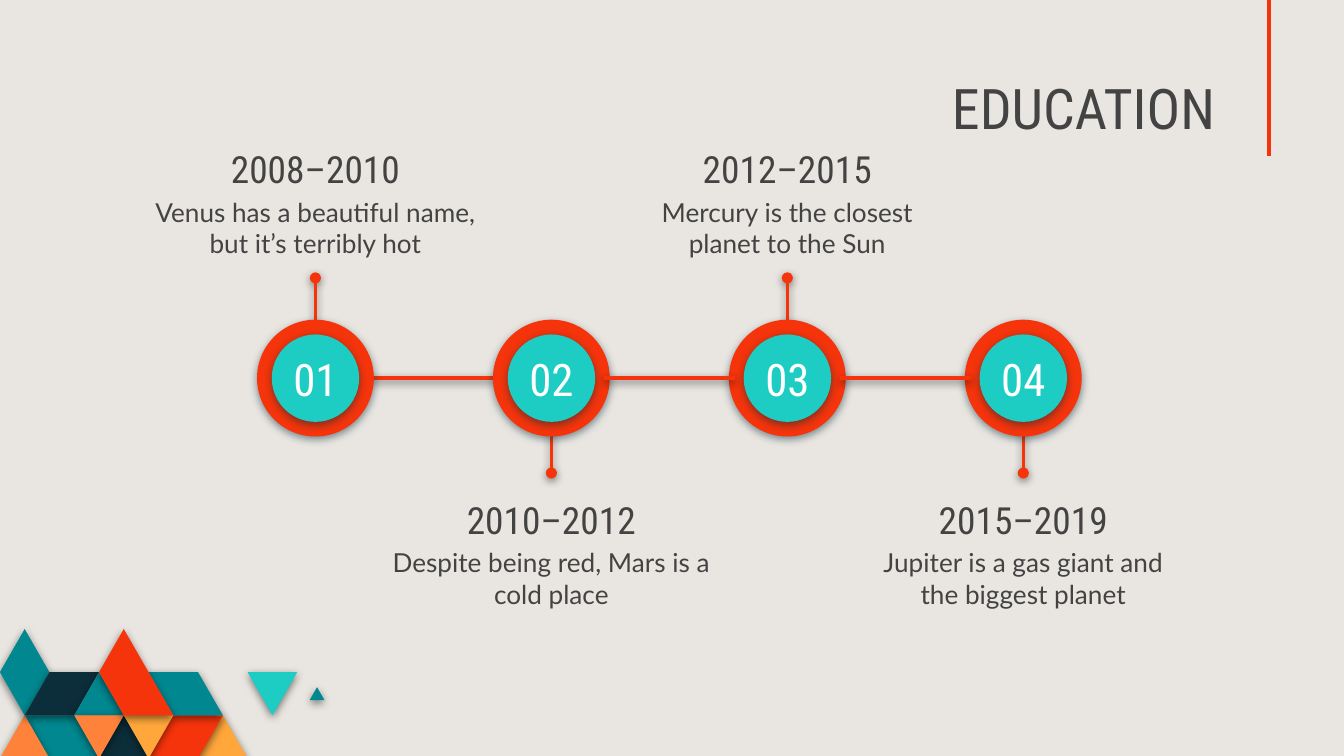
from pptx import Presentation
from pptx.dml.color import RGBColor
from pptx.enum.shapes import MSO_CONNECTOR, MSO_SHAPE
from pptx.enum.text import MSO_ANCHOR, PP_ALIGN
from pptx.oxml.ns import qn
from pptx.util import Pt
from lxml import etree

LINE, OVAL = MSO_CONNECTOR.STRAIGHT, MSO_SHAPE.OVAL
TOP, MID, BASE = MSO_ANCHOR.TOP, MSO_ANCHOR.MIDDLE, MSO_ANCHOR.BOTTOM
CENTER, RIGHT = PP_ALIGN.CENTER, PP_ALIGN.RIGHT
LEFT_SIDE, RIGHT_SIDE = 1, 3

COLORS = {
    "paper": "E9E6E1", "ink": "434343", "white": "FFFFFF", "black": "000000",
    "red": "F5340B", "aqua": "1DCDC3", "teal": "018790", "navy": "0C2E3A",
    "orange": "FF823B", "amber": "FFA73B",
}
FONTS = {
    "title": {"name": "Roboto Condensed", "size": Pt(30)},
    "number": {"name": "Roboto Condensed", "size": Pt(24)},
    "years": {"name": "Roboto Condensed", "size": Pt(20)},
    "body": {"name": "Lato", "size": Pt(14)},
}
STOPS = [
    ("2008–2010", "Venus has a beautiful name, but it’s terribly hot", 202),
    ("2010–2012", "Despite being red, Mars is a cold place", 188),
    ("2012–2015", "Mercury is the closest planet to the Sun", 188),
    ("2015–2019", "Jupiter is a gas giant and the biggest planet", 165),
]
TILES = [
    ("amber", [(10, 3), (9, 2), (8, 3)]),
    ("red", [(9, 2), (7, 2), (6, 3), (8, 3)]),
    ("teal", [(4, 3), (3, 2), (1, 2), (2, 3)]),
    ("orange", [(2, 3), (1, 2), (0, 3)]),
    ("navy", [(6, 3), (5, 2), (4, 3)]),
    ("teal", [(9, 2), (8, 1), (6, 1), (7, 2)]),
    ("teal", [(13.1, 1.65), (12.8, 1.35), (12.5, 1.65)]),
    ("aqua", [(12, 1), (10, 1), (11, 2)]),
    ("teal", [(2, 1), (1, 0), (0, 1), (1, 2)]),
    ("navy", [(4, 1), (2, 1), (1, 2), (3, 2)]),
    ("teal", [(5, 2), (4, 1), (3, 2)]),
    ("orange", [(5, 2), (3, 2), (4, 3)]),
    ("amber", [(7, 2), (5, 2), (6, 3)]),
    ("red", [(7, 2), (5, 0), (4, 1), (5, 2)]),
]


def rgb(name):
    """Return the named colour."""
    return RGBColor.from_string(COLORS[name])


def shade(shape, hue=None):
    """Replace the theme shadow with a soft one, or none."""
    props = shape._element.spPr
    for old in props.findall(qn("a:effectLst")):
        props.remove(old)
    list_el = etree.SubElement(props, qn("a:effectLst"))
    if hue:
        glow = etree.SubElement(
            list_el, qn("a:outerShdw"), blurRad=str(Pt(4.5)), dist=str(Pt(1.5)),
            dir="5400000", algn="bl", rotWithShape="0")
        tint = etree.SubElement(glow, qn("a:srgbClr"), val=COLORS[hue])
        etree.SubElement(tint, qn("a:alpha"), val="50000")


def paint(shape, fill, hue):
    """Fill a shape, drop its outline and give it a shadow."""
    shape.fill.solid()
    shape.fill.fore_color.rgb = rgb(fill)
    shape.line.fill.background()
    shade(shape, hue)


def rule(slide, ends, width, hue=None, dot=False):
    """Draw a red line, with a round tip if asked."""
    line = slide.shapes.add_connector(LINE, *map(Pt, ends))
    line.line.color.rgb = rgb("red")
    line.line.width = Pt(width)
    if dot:
        etree.SubElement(line.line._get_or_add_ln(), qn("a:tailEnd"), type="oval")
    shade(line, hue)
    return line


def label(slide, box, text, style, ink="ink", anchor=TOP, align=CENTER):
    """Place one styled paragraph in a box."""
    shape = slide.shapes.add_textbox(*map(Pt, box))
    frame = shape.text_frame
    form = {"word_wrap": True, "vertical_anchor": anchor}
    form.update({f"margin_{side}": Pt(7.2) for side in ("left", "right", "top", "bottom")})
    for key, value in form.items():
        setattr(frame, key, value)
    para = frame.paragraphs[0]
    para.alignment = align
    run = para.add_run()
    run.text = text
    for key, value in FONTS[style].items():
        setattr(run.font, key, value)
    run.font.color.rgb = rgb(ink)
    return shape


def disc(slide, x, y, size, fill):
    """Draw a circle about a centre."""
    shape = slide.shapes.add_shape(
        OVAL, Pt(x - size / 2), Pt(y - size / 2), Pt(size), Pt(size))
    paint(shape, fill, "navy")
    return shape


def mosaic(slide, left, top, width, height):
    """Tile the corner on a grid ten half-sides wide and three rows high."""
    step, row = width / 10, height / 3
    for fill, cells in TILES:
        points = [(Pt(left + x * step), Pt(top + y * row)) for x, y in cells]
        path = slide.shapes.build_freeform(*points[0])
        path.add_line_segments(points[1:], close=True)
        paint(path.convert_to_shape(), fill, "black")


def header(slide, left, top, width, height):
    """Set the title and the rule to its right."""
    title = label(slide, (left, top, width, height), "EDUCATION", "title",
                  anchor=BASE, align=RIGHT)
    title.text_frame.paragraphs[0].line_spacing = 0.8
    edge = left + width + 21.6
    rule(slide, (edge, 0, edge, 83.5), 2.25)


def caption(slide, x, top, years, text, width):
    """Write the years and the text below them about a centre line."""
    label(slide, (x - width / 2, top + 26.6, width, 41.8), text, "body")
    label(slide, (x - 58.3, top, 116.6, 31), years, "years")


def timeline(slide, left, top, width, height):
    """Spread the stops along a line, captions above and below in turn."""
    size, core = 62.6, 46.8
    pitch = (width - size) / (len(STOPS) - 1)
    mid = top + height / 2
    rings, marks = [], []
    for i, (years, text, wide) in enumerate(STOPS):
        x = left + size / 2 + i * pitch
        start, end, head = (-core / 2, -53.7, -131.4) if i % 2 == 0 else (core / 2, 50.8, 56.5)
        rule(slide, (x, mid + start, x, mid + end), 1.5, "black", dot=True)
        rings.append(disc(slide, x, mid, size, "red"))
        disc(slide, x, mid, core, "aqua")
        marks.append(label(slide, (x - 28.1, mid - 17.65, 56.2, 35.3),
                           f"{i + 1:02}", "number", "white", MID))
        caption(slide, x, mid + head, years, text, wide)
    for i, (near, far) in enumerate(zip(marks, marks[1:])):
        link = rule(slide, (left, mid, left + pitch, mid), 2.25, "black")
        link.begin_connect(near, RIGHT_SIDE)
        link.end_connect(far, LEFT_SIDE)
        if i == 0:
            rings[0]._element.addprevious(link._element)


def main():
    """Build and save the slide."""
    deck = Presentation()
    deck.slide_width, deck.slide_height = Pt(720), Pt(405)
    slide = deck.slides.add_slide(deck.slide_layouts[6])
    slide.background.fill.solid()
    slide.background.fill.fore_color.rgb = rgb("paper")
    mosaic(slide, 0, 337, 132.7, 69.3)
    header(slide, 360, 36.7, 298.1, 45.4)
    timeline(slide, 137.7, 171.3, 441.8, 62.6)
    deck.save("out.pptx")


if __name__ == "__main__":
    main()
